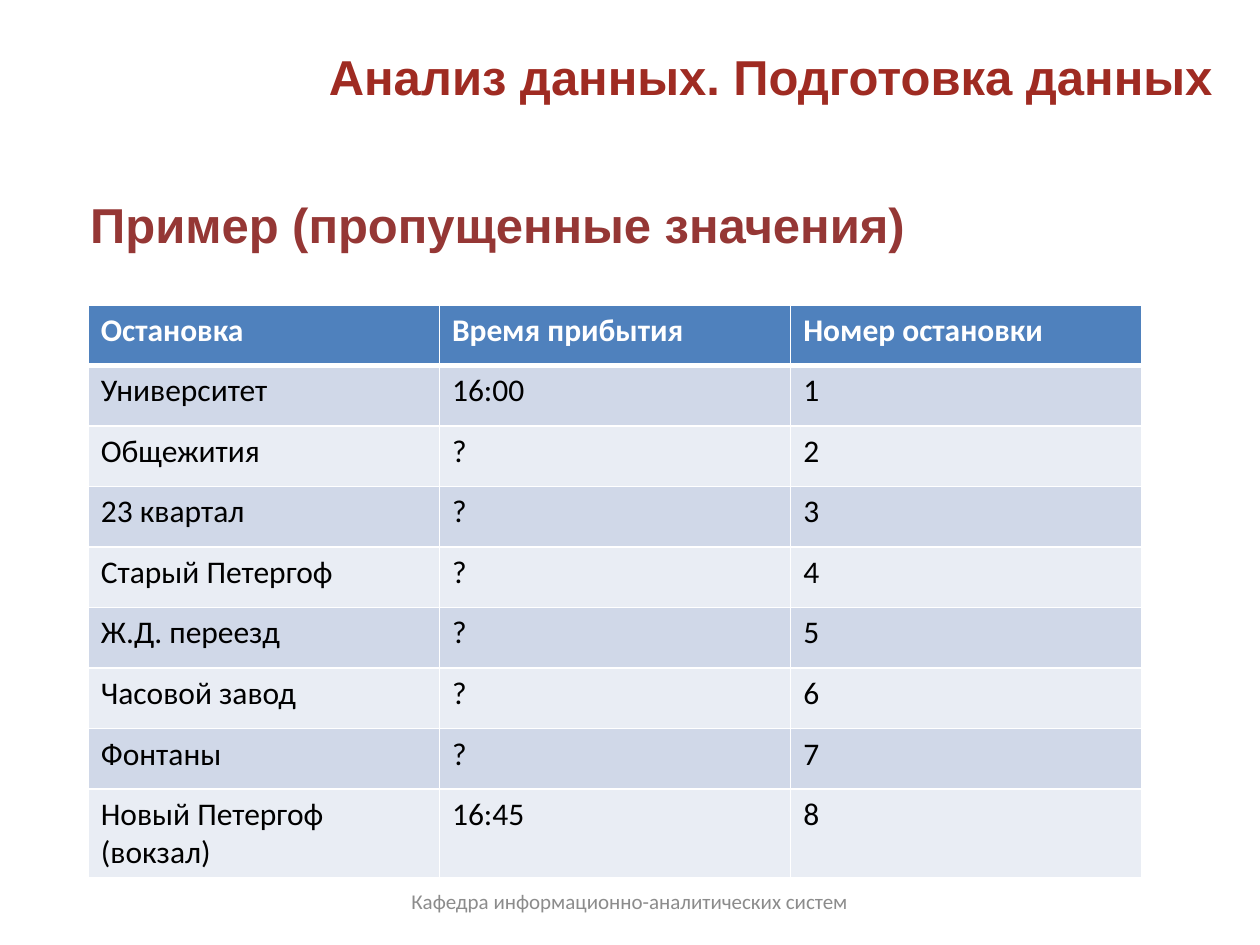
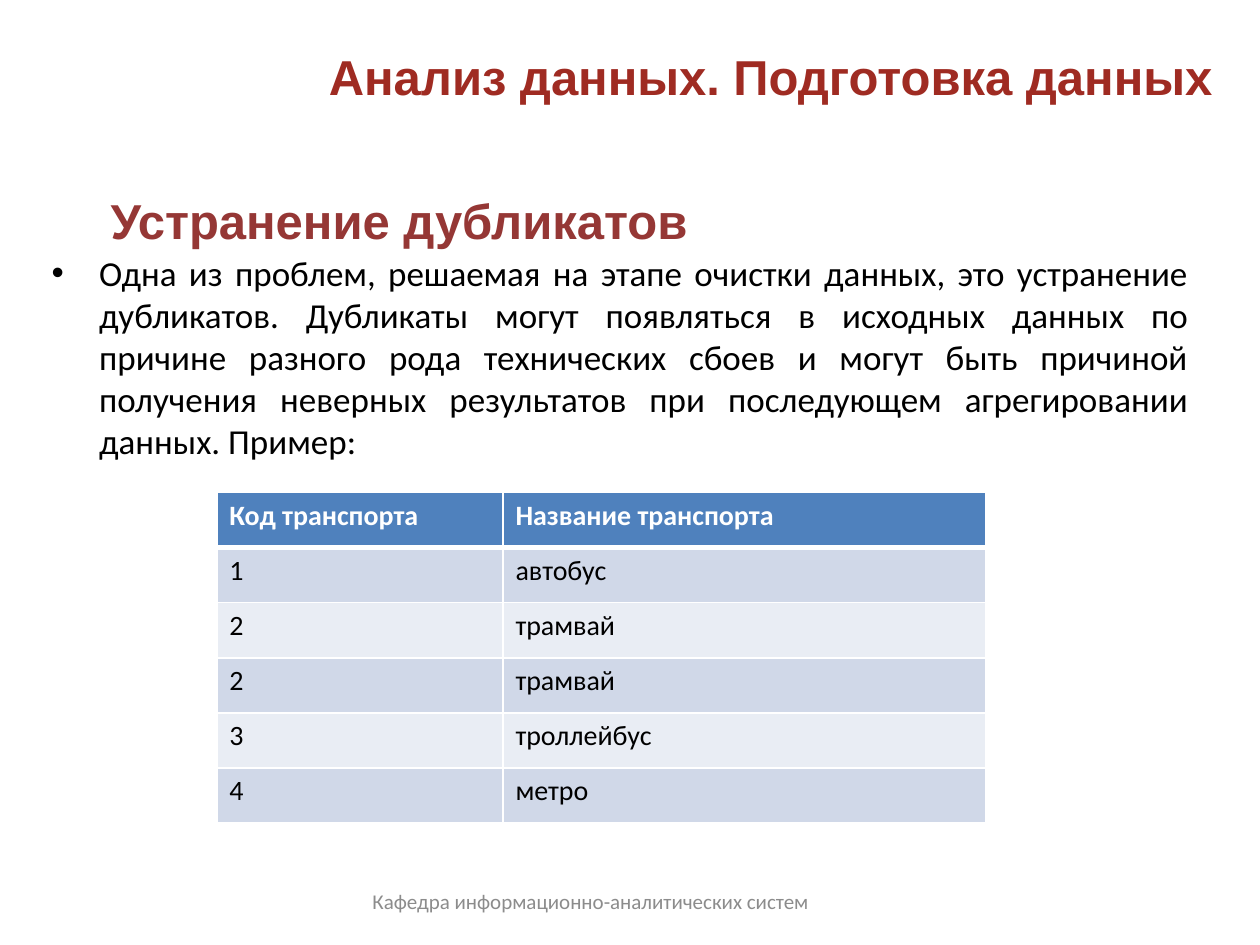
from dataclasses import dataclass

from lxml.etree import SubElement
from pptx import Presentation
from pptx.dml.color import RGBColor
from pptx.enum.text import MSO_ANCHOR as Anchor, PP_ALIGN as Align
from pptx.oxml.ns import qn
from pptx.slide import Slide
from pptx.table import _Cell as Cell
from pptx.util import Cm, Pt

WHITE = RGBColor(0xFF, 0xFF, 0xFF)
BLACK = RGBColor(0x00, 0x00, 0x00)
GREY = RGBColor(0x8C, 0x8C, 0x8C)
TITLE_RED = RGBColor(0x9F, 0x2B, 0x22)
HEADING_RED = RGBColor(0x95, 0x37, 0x35)
HEADER_BLUE = RGBColor(0x4F, 0x81, 0xBD)
BAND_COLORS = (RGBColor(0xD0, 0xD8, 0xE8), RGBColor(0xE9, 0xED, 0xF4))

TITLE = "Анализ данных. Подготовка данных"
FOOTER = "Кафедра информационно-аналитических систем"
BODY = (
    "Одна из проблем, решаемая на этапе очистки данных, это устранение дубликатов. "
    "Дубликаты могут появляться в исходных данных по причине разного рода технических "
    "сбоев и могут быть причиной получения неверных результатов при последующем "
    "агрегировании данных. Пример:"
)


@dataclass(frozen=True)
class Area:
    """A rectangle in centimetres."""
    left: float
    top: float
    width: float
    height: float

    def lengths(self) -> tuple:
        return tuple(Cm(value) for value in (self.left, self.top, self.width, self.height))


@dataclass(frozen=True)
class TextStyle:
    font: str
    size: float
    color: RGBColor
    bold: bool = False
    align: Align = Align.LEFT
    anchor: Anchor = Anchor.TOP


@dataclass(frozen=True)
class TableSpec:
    left: float
    top: float
    columns: tuple
    row_height: float
    text_size: float
    rows: tuple


@dataclass(frozen=True)
class Page:
    heading: str
    heading_area: Area
    heading_inset: float
    footer_area: Area
    table: TableSpec
    body: str = ""


TITLE_STYLE = TextStyle("Arial", 28, TITLE_RED, True, Align.RIGHT, Anchor.MIDDLE)
HEADING_STYLE = TextStyle("Arial", 28, HEADING_RED, True)
BODY_STYLE = TextStyle("Calibri", 20, BLACK, align=Align.JUSTIFY)
FOOTER_STYLE = TextStyle("Calibri", 12, GREY, align=Align.CENTER, anchor=Anchor.MIDDLE)

TITLE_AREA = Area(4.95, 0.33, 19.74, 2.39)
BODY_AREA = Area(0.79, 4.95, 23.42, 13.69)
BULLET_INDENT = Cm(0.96)

STOPS = (
    ("Университет", "16:00"),
    ("Общежития", "?"),
    ("23 квартал", "?"),
    ("Старый Петергоф", "?"),
    ("Ж.Д. переезд", "?"),
    ("Часовой завод", "?"),
    ("Фонтаны", "?"),
    ("Новый Петергоф (вокзал)", "16:45"),
)
STOP_ROWS = (
    ("Остановка", "Время прибытия", "Номер остановки"),
    *((stop, time, str(number)) for number, (stop, time) in enumerate(STOPS, 1)),
)
TRANSPORT_ROWS = (
    ("Код транспорта", "Название транспорта"),
    ("1", "автобус"),
    ("2", "трамвай"),
    ("2", "трамвай"),
    ("3", "троллейбус"),
    ("4", "метро"),
)

PAGES = (
    Page(
        heading="Пример (пропущенные значения)",
        heading_area=Area(1.57, 2.97, 21.23, 2.39),
        heading_inset=0.96,
        footer_area=Area(7.54, 17.65, 10.31, 1.02),
        table=TableSpec(1.78, 6.15, (7.08,) * 3, 1.22, 18, STOP_ROWS),
    ),
    Page(
        heading="Устранение дубликатов",
        heading_area=Area(1.98, 2.77, 20.35, 1.98),
        heading_inset=1.07,
        footer_area=Area(6.55, 17.65, 10.72, 1.02),
        table=TableSpec(4.37, 9.93, (5.77, 9.73), 1.11, 16, TRANSPORT_ROWS),
        body=BODY,
    ),
)


def write_text(frame, text: str, style: TextStyle):
    para = frame.paragraphs[0]
    para.alignment = style.align
    span = para.add_run()
    span.text = text
    formats = {"name": style.font, "size": Pt(style.size), "bold": style.bold}
    for name, value in formats.items():
        setattr(span.font, name, value)
    span.font.color.rgb = style.color
    return para


def add_text(slide: Slide, area: Area, text: str, style: TextStyle):
    box = slide.shapes.add_textbox(*area.lengths())
    box.text_frame.word_wrap = True
    box.text_frame.vertical_anchor = style.anchor
    write_text(box.text_frame, text, style)
    return box


def add_body(slide: Slide, text: str) -> None:
    para = add_text(slide, BODY_AREA, text, BODY_STYLE).text_frame.paragraphs[0]
    para.space_before = Pt(4)
    properties = para._p.get_or_add_pPr()
    properties.set("marL", str(BULLET_INDENT))
    properties.set("indent", str(-BULLET_INDENT))
    SubElement(properties, qn("a:buFont")).set("typeface", "Arial")
    SubElement(properties, qn("a:buChar")).set("char", "•")


def add_borders(cell: Cell, row_index: int) -> None:
    """Draw thin white borders, with a thick one under the header row."""
    widths = {
        "a:lnL": 1,
        "a:lnR": 1,
        "a:lnT": 3 if row_index == 1 else 1,
        "a:lnB": 3 if row_index == 0 else 1,
    }
    for tag, width in widths.items():
        line = SubElement(cell._tc.get_or_add_tcPr(), qn(tag), w=str(Pt(width)))
        fill = SubElement(line, qn("a:solidFill"))
        SubElement(fill, qn("a:srgbClr"), val=str(WHITE))


def add_data_table(slide: Slide, spec: TableSpec) -> None:
    area = Area(spec.left, spec.top, sum(spec.columns), spec.row_height * len(spec.rows))
    table = slide.shapes.add_table(len(spec.rows), len(spec.columns), *area.lengths()).table
    for column, width in zip(table.columns, spec.columns):
        column.width = Cm(width)
    header_style = TextStyle("Calibri", spec.text_size, WHITE, True)
    cell_style = TextStyle("Calibri", spec.text_size, BLACK)
    for row_index, texts in enumerate(spec.rows):
        is_header = row_index == 0
        table.rows[row_index].height = Cm(spec.row_height)
        for column_index, text in enumerate(texts):
            cell = table.cell(row_index, column_index)
            add_borders(cell, row_index)
            cell.fill.solid()
            cell.fill.fore_color.rgb = HEADER_BLUE if is_header else BAND_COLORS[(row_index - 1) % 2]
            write_text(cell.text_frame, text, header_style if is_header else cell_style)


def add_page(deck, page: Page) -> None:
    slide = deck.slides.add_slide(deck.slide_layouts[6])
    heading = add_text(slide, page.heading_area, page.heading, HEADING_STYLE)
    heading.text_frame.margin_top = Cm(page.heading_inset)
    if page.body:
        add_body(slide, page.body)
    add_text(slide, TITLE_AREA, TITLE, TITLE_STYLE)
    add_text(slide, page.footer_area, FOOTER, FOOTER_STYLE)
    add_data_table(slide, page.table)


def main() -> None:
    deck = Presentation()
    deck.slide_width, deck.slide_height = Cm(25.4), Cm(19.05)
    for page in PAGES:
        add_page(deck, page)
    deck.save("out.pptx")


if __name__ == "__main__":
    main()
